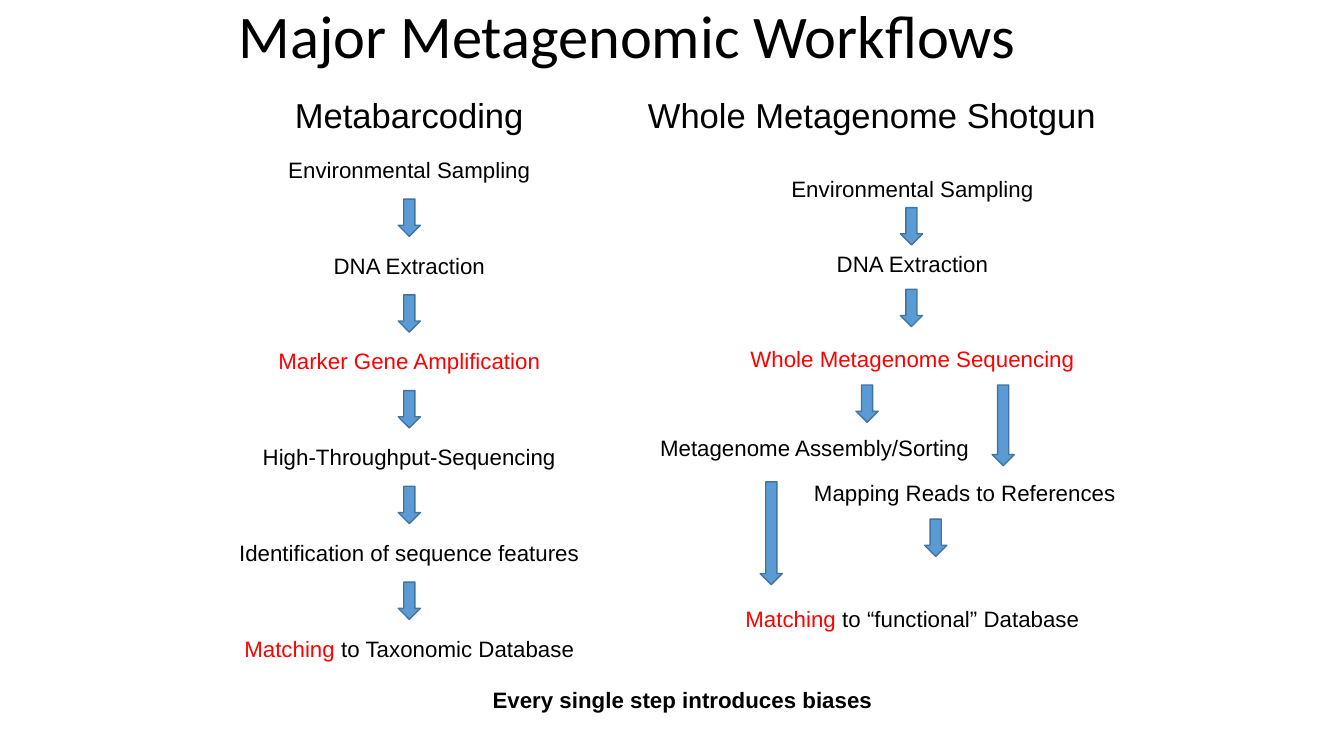
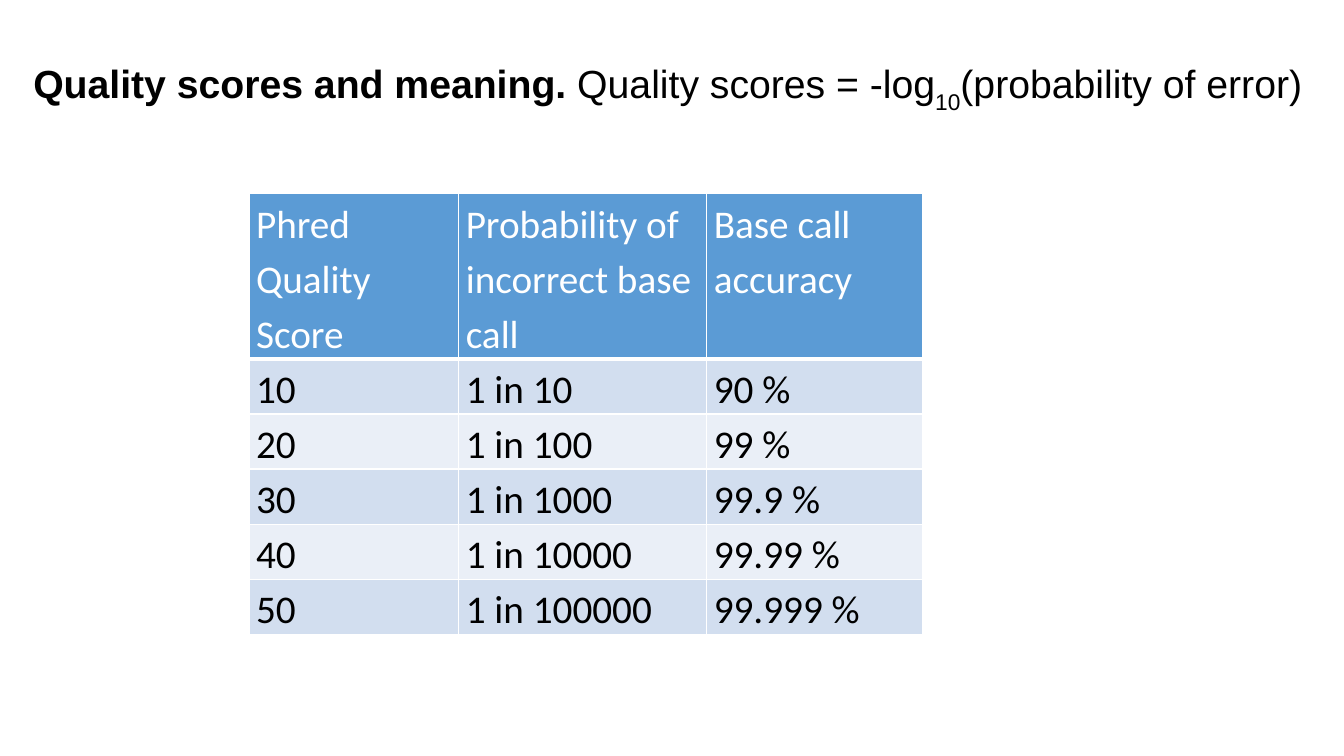
import pptx
import pptx.util
import pptx.dml.color
import pptx.enum.shapes
import pptx.enum.text
from lxml import etree

Inches, Pt = pptx.util.Inches, pptx.util.Pt
CENTER, LEFT = pptx.enum.text.PP_ALIGN.CENTER, pptx.enum.text.PP_ALIGN.LEFT
TOP = pptx.enum.text.MSO_ANCHOR.TOP

THEME = {
    "black": "000000", "white": "FFFFFF", "red": "FF0000",
    "blue": "5B9BD5", "outline": "43739E", "bands": ("D2DEEF", "EAEFF7"),
    "text_font": "Arial", "title_font": "Calibri",
    "title": 43.2, "heading": 24.7, "step": 15.9, "table": 28,
}
SLIDE_W, SLIDE_H = 13.33, 7.5

# Content: a step is (red part, black part, box width)
TITLE = "Major Metagenomic Workflows"
BARCODING = [
    ("", "Environmental Sampling", 2.62),
    ("", "DNA Extraction", 1.71),
    ("Marker Gene Amplification", "", 2.82),
    ("", "High-Throughput-Sequencing", 3.13),
    ("", "Identification of sequence features", 3.6),
    ("Matching", " to Taxonomic Database", 3.5),
]
# Branching steps: centre x, top, step
SHOTGUN = [
    (9.05, 1.69, ("", "Environmental Sampling", 2.62)),
    (9.05, 2.43, ("", "DNA Extraction", 1.71)),
    (9.05, 3.38, ("Whole Metagenome Sequencing", "", 3.44)),
    (8.08, 4.26, ("", "Metagenome Assembly/Sorting", 3.35)),
    (9.57, 4.71, ("", "Mapping Reads to References", 3.22)),
    (9.05, 5.96, ("Matching", " to “functional” Database", 3.54)),
]
ARROW_W, ARROW_H = 0.22, 0.37
# Arrows between the branching steps: centre x, top, height
SHOTGUN_ARROWS = [
    (9.04, 2.06, ARROW_H), (9.04, 2.87, ARROW_H), (8.6, 3.82, ARROW_H),
    (9.95, 3.82, 0.8), (7.65, 4.78, 1.02), (9.28, 5.15, ARROW_H),
]
HEADINGS = [("Metabarcoding", 4.06, 2.5),
            ("Whole Metagenome Shotgun", 8.65, 4.7)]
CLOSING = "Every single step introduces biases"

# Title pieces: text, bold, subscript
SCORE_TITLE = [("Quality scores and meaning. ", True, False),
               ("Quality scores = -log", False, False),
               ("10", False, True),
               ("(probability of error)", False, False)]
SCORES = [
    ("Phred Quality Score", "Probability of incorrect base call",
     "Base call accuracy"),
    ("10", "1 in 10", "90 %"),
    ("20", "1 in 100", "99 %"),
    ("30", "1 in 1000", "99.9 %"),
    ("40", "1 in 10000", "99.99 %"),
    ("50", "1 in 100000", "99.999 %"),
]
COLUMN_W, HEADER_H, ROW_H = (2.08, 2.46, 2.14), 1.61, 0.54


# Shared helpers
def rgb(value):
    return pptx.dml.color.RGBColor.from_string(value)


def style(r, size, color="black", font="text_font", bold=False):
    r.font.size = Pt(THEME[size])
    r.font.name = THEME[font]
    r.font.color.rgb = rgb(THEME[color])
    r.font.bold = bold


def add_run(p, text, size, **look):
    r = p.add_run()
    r.text = text
    style(r, size, **look)
    return r


def title_paragraph(s, box, align):
    title = s.shapes.title
    title.left, title.top, title.width, title.height = map(Inches, box)
    tf = title.text_frame
    tf.word_wrap = True
    tf.vertical_anchor = TOP
    tf.paragraphs[0].alignment = align
    return tf.paragraphs[0]


def add_label(s, center, top, width, height, pieces, size, bold=False):
    box = s.shapes.add_textbox(Inches(center - width / 2), Inches(top),
                               Inches(width), Inches(height))
    box.text_frame.word_wrap = False
    p = box.text_frame.paragraphs[0]
    p.alignment = CENTER
    for text, color in pieces:
        if text:
            add_run(p, text, size, color=color, bold=bold)


def add_step(s, center, top, step):
    accent, rest, width = step
    add_label(s, center, top, width, 0.37,
              [(accent, "red"), (rest, "black")], "step")


def add_arrow(s, center, top, height=ARROW_H):
    arrow = s.shapes.add_shape(
        pptx.enum.shapes.MSO_SHAPE.DOWN_ARROW, Inches(center - ARROW_W / 2),
        Inches(top), Inches(ARROW_W), Inches(height))
    arrow.shadow.inherit = False
    arrow.fill.solid()
    arrow.fill.fore_color.rgb = rgb(THEME["blue"])
    arrow.line.color.rgb = rgb(THEME["outline"])
    arrow.line.width = Pt(1)


def set_borders(cell, bottom):
    """Draw white cell borders; they must come before the fill."""
    ns = "http://schemas.openxmlformats.org/drawingml/2006/main"
    props = cell._tc.get_or_add_tcPr()
    for side, width in (("L", 1), ("R", 1), ("T", 1), ("B", bottom)):
        line = etree.SubElement(props, f"{{{ns}}}ln{side}", w=str(Pt(width)))
        fill = etree.SubElement(line, f"{{{ns}}}solidFill")
        etree.SubElement(fill, f"{{{ns}}}srgbClr", val=THEME["white"])


# Slides
def workflow_slide(s):
    p = title_paragraph(s, (2.25, -0.07, 7.94, 1.1), CENTER)
    add_run(p, TITLE, "title", font="title_font")
    for text, center, width in HEADINGS:
        add_label(s, center, 0.88, width, 0.52, [(text, "black")], "heading")

    first, pitch, center = 1.5, 0.95, HEADINGS[0][1]
    for i, step in enumerate(BARCODING):
        top = first + i * pitch
        add_step(s, center, top, step)
        if i < len(BARCODING) - 1:
            add_arrow(s, center, top + pitch / 2)

    for center, top, step in SHOTGUN:
        add_step(s, center, top, step)
    for center, top, height in SHOTGUN_ARROWS:
        add_arrow(s, center, top, height)
    add_label(s, 6.77, 6.76, 4, 0.37, [(CLOSING, "black")], "step", bold=True)


def score_slide(s):
    p = title_paragraph(s, (0.23, 0.54, 13.1, 0.6), LEFT)
    for text, bold, subscript in SCORE_TITLE:
        r = add_run(p, text, "table", bold=bold)
        if subscript:
            r.font._element.set("baseline", "-30000")

    height = HEADER_H + ROW_H * (len(SCORES) - 1)
    table = s.shapes.add_table(
        len(SCORES), len(COLUMN_W), Inches(2.47), Inches(1.92),
        Inches(sum(COLUMN_W)), Inches(height)).table
    for column, width in zip(table.columns, COLUMN_W):
        column.width = Inches(width)
    for i, values in enumerate(SCORES):
        header = i == 0
        table.rows[i].height = Inches(HEADER_H if header else ROW_H)
        fill = THEME["blue"] if header else THEME["bands"][(i - 1) % 2]
        for j, value in enumerate(values):
            cell = table.cell(i, j)
            cell.margin_left = cell.margin_right = Inches(0.07)
            cell.margin_top = cell.margin_bottom = 0
            set_borders(cell, 3 if header else 1)
            cell.fill.solid()
            cell.fill.fore_color.rgb = rgb(fill)
            p = cell.text_frame.paragraphs[0]
            p.line_spacing = 1.15
            add_run(p, value, "table", font="title_font",
                    color="white" if header else "black")


def main():
    prs = pptx.Presentation()
    prs.slide_width, prs.slide_height = Inches(SLIDE_W), Inches(SLIDE_H)
    title_only = prs.slide_layouts[5]
    for build in (workflow_slide, score_slide):
        build(prs.slides.add_slide(title_only))
    prs.save("out.pptx")


if __name__ == "__main__":
    main()
